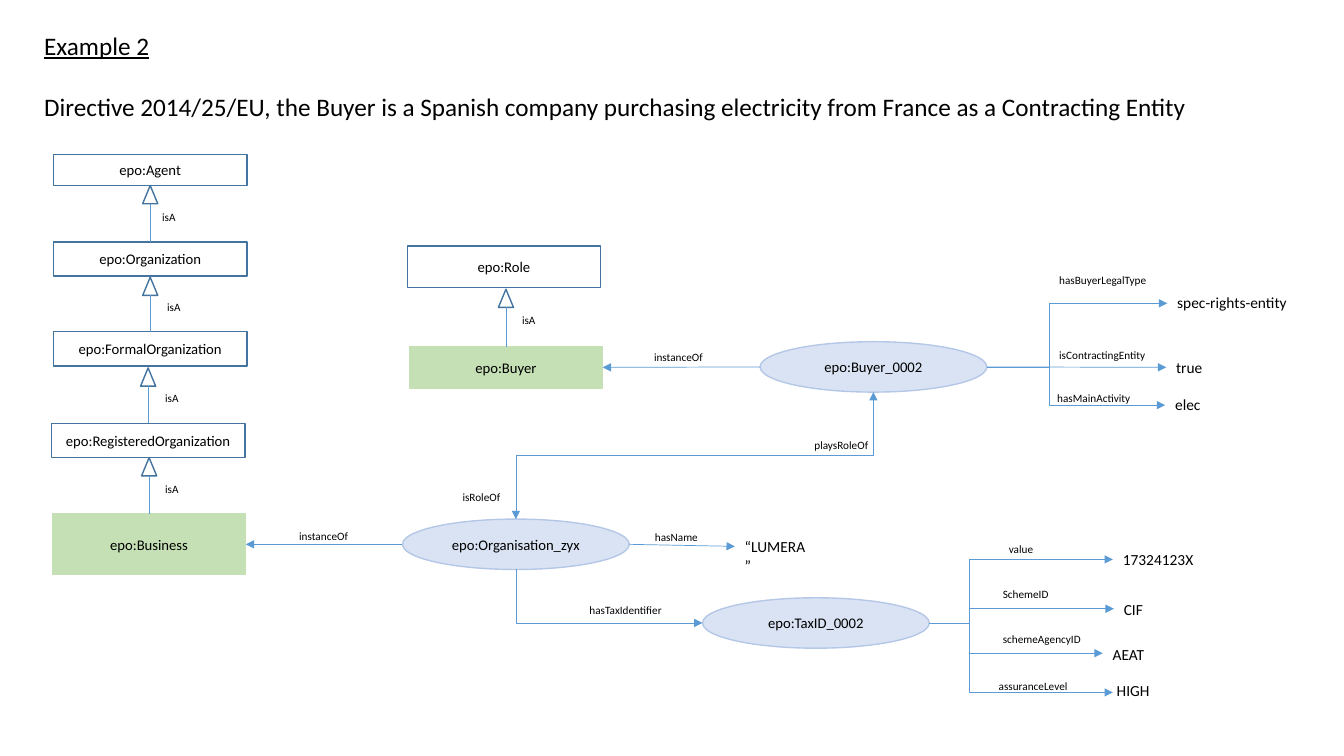
from dataclasses import dataclass
from typing import Optional

from lxml import etree
from pptx import Presentation
from pptx.dml.color import RGBColor
from pptx.enum.shapes import MSO_CONNECTOR as CONN, MSO_SHAPE as SHAPE
from pptx.enum.text import MSO_ANCHOR as ANCHOR, MSO_AUTO_SIZE as AUTO, PP_ALIGN as ALIGN
from pptx.oxml.ns import qn
from pptx.util import Pt

BLACK = RGBColor(0, 0, 0)
WHITE = RGBColor(0xFF, 0xFF, 0xFF)
GREEN = RGBColor(0xC5, 0xE0, 0xB4)
PALE_BLUE = RGBColor(0xDA, 0xE3, 0xF3)
SOFT_BLUE = RGBColor(0xB4, 0xC7, 0xE7)
STEEL = RGBColor(0x43, 0x73, 0x9E)
LINK_BLUE = RGBColor(0x5B, 0x9B, 0xD5)

CLASS_W, OVAL_W, OVAL_H = 138.2, 162, 36
TRIANGLE_W, TRIANGLE_H = 10.8, 13


@dataclass
class Node:
    text: str
    x: float
    y: float
    h: float = OVAL_H
    w: float = OVAL_W
    kind: SHAPE = SHAPE.OVAL
    fill: Optional[RGBColor] = PALE_BLUE
    line: RGBColor = SOFT_BLUE

    @property
    def mid_x(self) -> float:
        return self.x + self.w / 2

    @property
    def mid_y(self) -> float:
        return self.y + self.h / 2

    @property
    def right(self) -> float:
        return self.x + self.w

    @property
    def bottom(self) -> float:
        return self.y + self.h


@dataclass
class Label:
    text: str
    x: float
    y: float
    w: float
    size: float = 8
    wrap: bool = False


@dataclass
class IsA:
    parent: Node
    child: Node
    gap: float


@dataclass
class Branch:
    source: Node
    bend: float
    x: float
    y: float


def class_node(text: str, x: float, y: float, h: float,
               fill: Optional[RGBColor] = None, line: RGBColor = STEEL) -> Node:
    return Node(text, x, y, h, CLASS_W, SHAPE.RECTANGLE, fill, line)


AGENT = class_node("epo:Agent", 38.2, 110.2, 22.3)
ORGANIZATION = class_node("epo:Organization", 38.2, 172.8, 24.5)
FORMAL = class_node("epo:FormalOrganization", 38.2, 236.9, 24.5)
REGISTERED = class_node("epo:RegisteredOrganization", 36.7, 302.4, 24.5)
BUSINESS = class_node("epo:Business", 37.4, 367.2, 43.2, GREEN, GREEN)
ROLE = class_node("epo:Role", 290.9, 175.7, 29.5)
BUYER = class_node("epo:Buyer", 292.3, 247.7, 29.5, GREEN, GREEN)
ORG_ZYX = Node("epo:Organisation_zyx", 287.5, 370.8)
TAX_ID = Node("epo:TaxID_0002", 501.8, 427)
BUYER_2 = Node("epo:Buyer_0002", 542.9, 244.1)
NODES = [AGENT, ORGANIZATION, FORMAL, REGISTERED, BUSINESS, ROLE, BUYER,
         ORG_ZYX, TAX_ID, BUYER_2]

INHERITANCE = [
    IsA(AGENT, ORGANIZATION, 0), IsA(ORGANIZATION, FORMAL, 0.7),
    IsA(FORMAL, REGISTERED, 1.4), IsA(REGISTERED, BUSINESS, 0),
    IsA(ROLE, BUYER, 1.4),
]

TAX_BEND, BUYER_BEND = 692.2, 749.5
BRANCHES = [
    Branch(TAX_ID, TAX_BEND, 794.9, 399.6), Branch(TAX_ID, TAX_BEND, 795.6, 434.9),
    Branch(TAX_ID, TAX_BEND, 787.7, 466.6), Branch(TAX_ID, TAX_BEND, 794.9, 494.6),
    Branch(BUYER_2, BUYER_BEND, 833.8, 216.7), Branch(BUYER_2, BUYER_BEND, 832.3, 289.4),
]

LABELS = [
    Label("isA", 108.7, 146.9, 24.5), Label("isA", 112.3, 211, 24.5),
    Label("isA", 110.9, 275.8, 24.5), Label("isA", 110.9, 341.3, 24.5),
    Label("isA", 365.8, 220.3, 24.5), Label("instanceOf", 206.6, 374.4, 49.7),
    Label("instanceOf", 460.1, 247, 52, wrap=True), Label("hasName", 460.8, 375.1, 45.4),
    Label("hasTaxIdentifier", 414, 427.7, 67.7), Label("playsRoleOf", 574.6, 309.6, 54),
    Label("isRoleOf", 323.3, 347, 41.8), Label("value", 713.5, 383.8, 32.4),
    Label("SchemeID", 709.2, 416.2, 47.5), Label("schemeAgencyID", 709.2, 447.8, 70.6),
    Label("assuranceLevel", 706.3, 481.7, 64.8), Label("hasBuyerLegalType", 749.5, 191.5, 77.8),
    Label("isContractingEntity", 749.5, 245.5, 77), Label("hasMainActivity", 748.1, 275.8, 67.7),
    Label("“LUMERA”", 524.9, 380.2, 60.5, 11), Label("17324123X", 794.9, 389.5, 65.5, 11),
    Label("CIF", 795.6, 424.8, 28.1, 11), Label("AEAT", 787.7, 457.2, 45.4, 11, True),
    Label("HIGH", 790.6, 483.1, 45.4, 11, True), Label("true", 833, 252, 33.1, 11),
    Label("elec", 832.3, 278.6, 33.1, 11), Label("spec-rights-entity", 833.8, 205.9, 93.6, 11),
]


def write(p, text: str, size: float, underline: bool = False,
          align: ALIGN = ALIGN.LEFT, before: float = 0) -> None:
    p.alignment = align
    if before:
        p.space_before = Pt(before)
    r = p.add_run()
    r.text = text
    r.font.name = "Calibri"
    r.font.size = Pt(size)
    r.font.color.rgb = BLACK
    if underline:
        r.font.underline = True


def text_box(s, x: float, y: float, w: float, h: float, wrap: bool):
    tf = s.shapes.add_textbox(Pt(x), Pt(y), Pt(w), Pt(h)).text_frame
    tf.word_wrap = wrap
    tf.auto_size = AUTO.SHAPE_TO_FIT_TEXT
    return tf


def draw_shape(s, kind: SHAPE, x: float, y: float, w: float, h: float,
               fill: Optional[RGBColor], line: RGBColor):
    sp = s.shapes.add_shape(kind, Pt(x), Pt(y), Pt(w), Pt(h))
    sp.shadow.inherit = False
    if fill is None:
        sp.fill.background()
    else:
        sp.fill.solid()
        sp.fill.fore_color.rgb = fill
    sp.line.color.rgb = line
    sp.line.width = Pt(1)
    return sp


def draw_node(s, node: Node):
    sp = draw_shape(s, node.kind, node.x, node.y, node.w, node.h, node.fill, node.line)
    tf = sp.text_frame
    tf.word_wrap = True
    tf.vertical_anchor = ANCHOR.MIDDLE
    write(tf.paragraphs[0], node.text, 10.5, align=ALIGN.CENTER)
    return sp


def connect(s, x1: float, y1: float, x2: float, y2: float,
            kind: CONN = CONN.STRAIGHT, head: bool = False, tail: bool = True):
    c = s.shapes.add_connector(kind, Pt(x1), Pt(y1), Pt(x2), Pt(y2))
    c.line.color.rgb = LINK_BLUE
    c.line.width = Pt(0.5)
    ln = c.line._get_or_add_ln()
    for tag, shown in (("a:headEnd", head), ("a:tailEnd", tail)):
        if shown:
            etree.SubElement(ln, qn(tag), type="triangle")
    etree.SubElement(c._element.spPr, qn("a:effectLst"))
    return c


def draw_branch(s, b: Branch) -> None:
    start = b.source.right
    c = connect(s, start, b.source.mid_y, b.x, b.y, CONN.ELBOW)
    guides = c._element.spPr.find(qn("a:prstGeom")).get_or_add_avLst()
    share = round((b.bend - start) / (b.x - start) * 100000)
    etree.SubElement(guides, qn("a:gd"), name="adj1", fmla=f"val {share}")


def vertical_elbow(s, x1: float, y1: float, x2: float, y2: float,
                   preset: str, head: bool = False) -> None:
    cx, cy = (x1 + x2) / 2, (y1 + y2) / 2
    c = connect(s, cx + cy - y1, cy + x1 - cx, cx + cy - y2, cy + x2 - cx,
                CONN.ELBOW, head)
    spPr = c._element.spPr
    spPr.find(qn("a:xfrm")).set("rot", "16200000")
    spPr.find(qn("a:prstGeom")).set("prst", preset)


def main() -> None:
    prs = Presentation()
    prs.slide_width, prs.slide_height = Pt(960), Pt(540)
    s = prs.slides.add_slide(prs.slide_layouts[6])

    tf = text_box(s, 24.5, 18, 918.7, 72.7, True)
    write(tf.paragraphs[0], "Example 2", 18, underline=True)
    write(tf.add_paragraph(), "Directive 2014/25/EU, the Buyer is a Spanish company "
          "purchasing electricity from France as a Contracting Entity", 18, before=22)

    shapes = {node.text: draw_node(s, node) for node in NODES}

    for link in INHERITANCE:
        x, top = link.child.mid_x, link.parent.bottom + link.gap
        draw_shape(s, SHAPE.ISOSCELES_TRIANGLE, x - TRIANGLE_W / 2, top,
                   TRIANGLE_W, TRIANGLE_H, WHITE, STEEL)
        c = connect(s, x, top + TRIANGLE_H, x, link.child.y, tail=False)
        c.end_connect(shapes[link.child.text], 0)

    for source, target in ((ORG_ZYX, BUSINESS), (BUYER_2, BUYER)):
        c = connect(s, source.x, source.mid_y, target.right, target.mid_y)
        c.end_connect(shapes[target.text], 3)

    connect(s, ORG_ZYX.right, ORG_ZYX.mid_y, 524.9, 390.3)
    connect(s, BUYER_2.right, BUYER_2.mid_y, 833, 262.4)
    for branch in BRANCHES:
        draw_branch(s, branch)
    vertical_elbow(s, ORG_ZYX.mid_x, ORG_ZYX.bottom, TAX_ID.x, TAX_ID.mid_y, "bentConnector2")
    vertical_elbow(s, ORG_ZYX.mid_x, ORG_ZYX.y, BUYER_2.mid_x, BUYER_2.bottom,
                   "bentConnector3", head=True)

    for label in LABELS:
        tf = text_box(s, label.x, label.y, label.w, 17 if label.size == 8 else 20.6, label.wrap)
        write(tf.paragraphs[0], label.text, label.size)

    prs.save("out.pptx")


if __name__ == "__main__":
    main()
